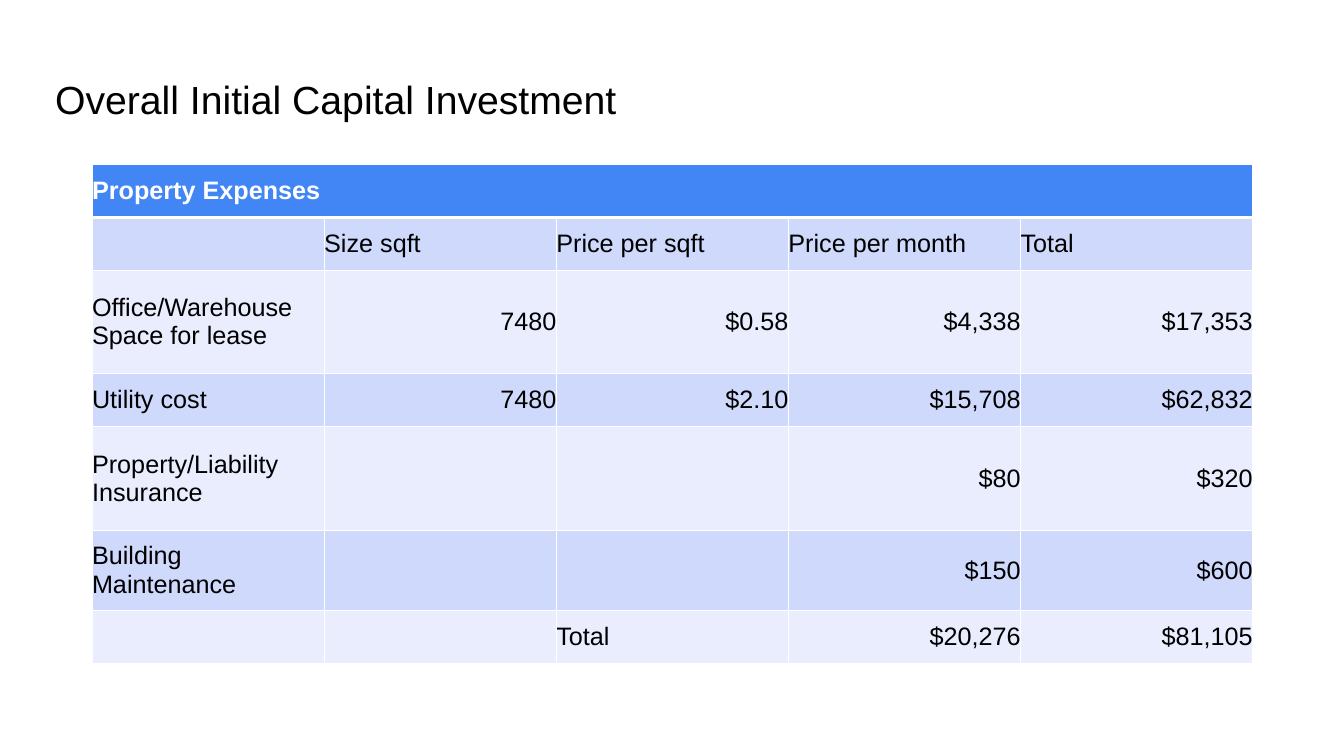
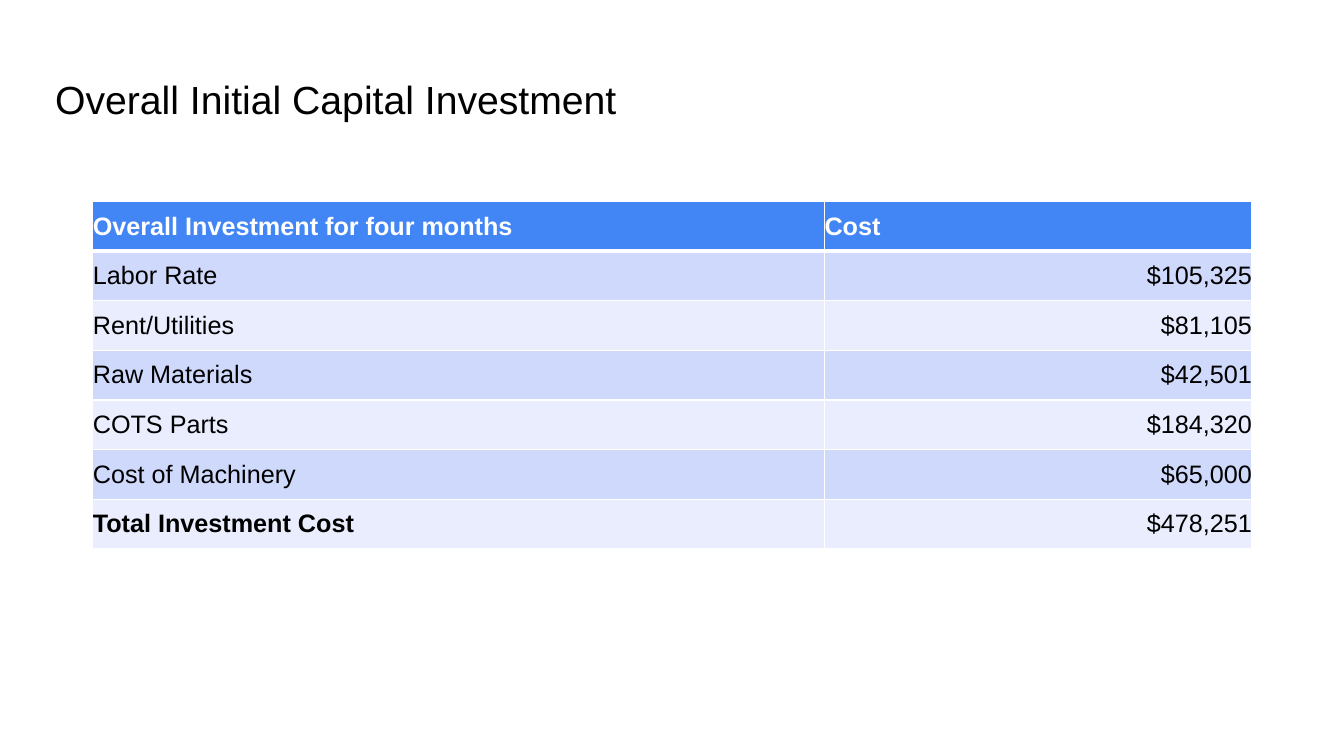
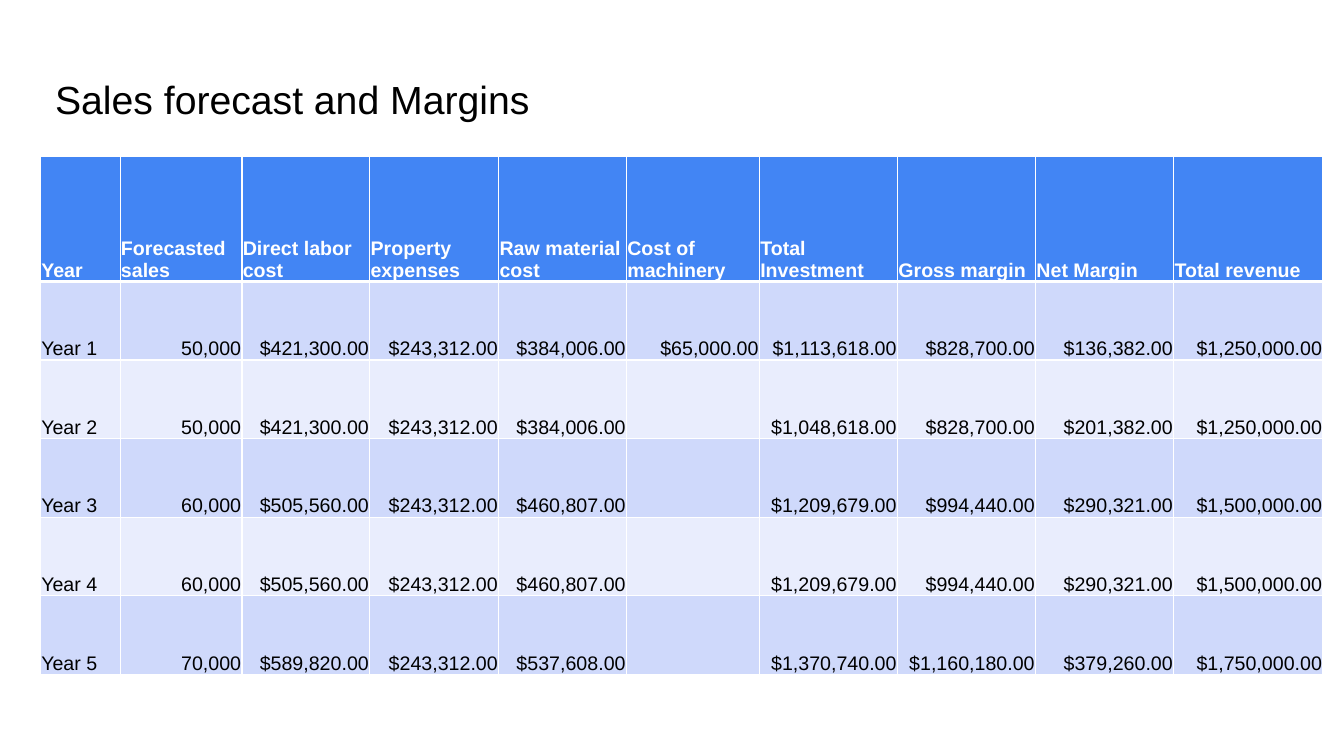
import lxml.etree
import pptx
import pptx.dml.color
import pptx.enum.text
import pptx.oxml.ns
import pptx.util

Cm = pptx.util.Cm
Pt = pptx.util.Pt
ALIGN = pptx.enum.text.PP_ALIGN
ANCHOR = pptx.enum.text.MSO_ANCHOR


def color(value):
    return pptx.dml.color.RGBColor.from_string(value)


class Report:
    """Holds the deck style, the current slide and the element builders."""

    FONT = "Arial"
    INK = "000000"
    WHITE = "FFFFFF"
    HEADER = "4285F4"
    BANDS = ("CFD9FB", "E9EDFD")
    THIN, THICK = 1, 3

    def __init__(self):
        self.deck = pptx.Presentation()
        self.deck.slide_width = Cm(33.87)
        self.deck.slide_height = Cm(19.05)
        self.slide = None

    def style(self, paragraph, size, ink, bold=False):
        for span in paragraph.runs:
            span.font.name = self.FONT
            span.font.size = Pt(size)
            span.font.bold = bold
            span.font.color.rgb = color(ink)

    def new_slide(self, title):
        self.slide = self.deck.slides.add_slide(self.deck.slide_layouts[6])
        box = self.slide.shapes.add_textbox(Cm(1.14), Cm(1.65), Cm(31.55), Cm(2.13))
        frame = box.text_frame
        frame.word_wrap = True
        frame.vertical_anchor = ANCHOR.TOP
        frame.margin_left = frame.margin_right = Cm(0.25)
        frame.margin_top = frame.margin_bottom = Cm(0.25)
        frame.text = title
        self.style(frame.paragraphs[0], 28, self.INK)

    def border(self, cell, side, width):
        properties = cell._tc.get_or_add_tcPr()
        tag = pptx.oxml.ns.qn("a:ln" + side)
        line = lxml.etree.SubElement(properties, tag, w=str(Pt(width)))
        fill = lxml.etree.SubElement(line, pptx.oxml.ns.qn("a:solidFill"))
        lxml.etree.SubElement(fill, pptx.oxml.ns.qn("a:srgbClr"), val=self.WHITE)

    def cell(self, cell, text, row, size, anchor, margin, bold):
        header = row == 0
        widths = {"L": self.THIN, "R": self.THIN,
                  "T": self.THICK if row == 1 else self.THIN,
                  "B": self.THICK if header else self.THIN}
        for side, width in widths.items():
            self.border(cell, side, width)
        cell.fill.solid()
        cell.fill.fore_color.rgb = color(self.HEADER if header else self.BANDS[(row - 1) % 2])
        cell.vertical_anchor = anchor
        cell.margin_left = cell.margin_right = cell.margin_top = Cm(margin)
        cell.margin_bottom = 0
        if text:
            paragraph = cell.text_frame.paragraphs[0]
            paragraph.text = text
            number = text[0] == "$" or text[0].isdigit()
            paragraph.alignment = ALIGN.RIGHT if number else ALIGN.LEFT
            self.style(paragraph, size, self.WHITE if header else self.INK, header or bold)

    def table(self, left, top, widths, heights, rows, size=18,
              anchor=ANCHOR.MIDDLE, margin=0, bold_labels=()):
        frame = self.slide.shapes.add_table(
            len(heights), len(widths), Cm(left), Cm(top),
            Cm(sum(widths)), Cm(sum(heights)))
        table = frame.table
        table.first_row = False
        table.horz_banding = False
        for column, width in zip(table.columns, widths):
            column.width = Cm(width)
        for line, height in zip(table.rows, heights):
            line.height = Cm(height)
        for row, texts in enumerate(rows):
            for column, text in enumerate(texts):
                self.cell(table.cell(row, column), text, row, size, anchor,
                          margin, text in bold_labels)
        return table


def main():
    report = Report()

    report.new_slide("Overall Initial Capital Investment")
    expenses = report.table(
        2.32, 4.15, [5.85] * 5, [1.33, 1.33, 2.61, 1.33, 2.61, 2.02, 1.33],
        [
            ["Property Expenses", "", "", "", ""],
            ["", "Size sqft", "Price per sqft", "Price per month", "Total"],
            ["Office/Warehouse Space for lease", "7480", "$0.58", "$4,338", "$17,353"],
            ["Utility cost", "7480", "$2.10", "$15,708", "$62,832"],
            ["Property/Liability Insurance", "", "", "$80", "$320"],
            ["Building Maintenance", "", "", "$150", "$600"],
            ["", "", "Total", "$20,276", "$81,105"],
        ])
    expenses.cell(0, 0).merge(expenses.cell(0, 4))

    report.new_slide("Overall Initial Capital Investment")
    report.table(
        2.34, 5.08, [18.44, 10.77], [1.25] * 7,
        [
            ["Overall Investment for four months", "Cost"],
            ["Labor Rate", "$105,325"],
            ["Rent/Utilities", "$81,105"],
            ["Raw Materials", "$42,501"],
            ["COTS Parts", "$184,320"],
            ["Cost of Machinery", "$65,000"],
            ["Total Investment Cost", "$478,251"],
        ],
        bold_labels=["Total Investment Cost"])

    report.new_slide("Sales forecast and Margins")
    report.table(
        1.02, 3.94, [2.01, 3.07, 3.22, 3.25, 3.22, 3.35, 3.48, 3.48, 3.48, 3.76],
        [3.15] + [1.98] * 5,
        [
            ["Year", "Forecasted sales", "Direct labor cost", "Property expenses",
             "Raw material cost", "Cost of machinery", "Total Investment",
             "Gross margin", "Net Margin", "Total revenue"],
            ["Year 1", "50,000", "$421,300.00", "$243,312.00", "$384,006.00",
             "$65,000.00", "$1,113,618.00", "$828,700.00", "$136,382.00", "$1,250,000.00"],
            ["Year 2", "50,000", "$421,300.00", "$243,312.00", "$384,006.00",
             "", "$1,048,618.00", "$828,700.00", "$201,382.00", "$1,250,000.00"],
            ["Year 3", "60,000", "$505,560.00", "$243,312.00", "$460,807.00",
             "", "$1,209,679.00", "$994,440.00", "$290,321.00", "$1,500,000.00"],
            ["Year 4", "60,000", "$505,560.00", "$243,312.00", "$460,807.00",
             "", "$1,209,679.00", "$994,440.00", "$290,321.00", "$1,500,000.00"],
            ["Year 5", "70,000", "$589,820.00", "$243,312.00", "$537,608.00",
             "", "$1,370,740.00", "$1,160,180.00", "$379,260.00", "$1,750,000.00"],
        ],
        size=14, anchor=ANCHOR.BOTTOM, margin=0.02)

    report.deck.save("out.pptx")


if __name__ == "__main__":
    main()
